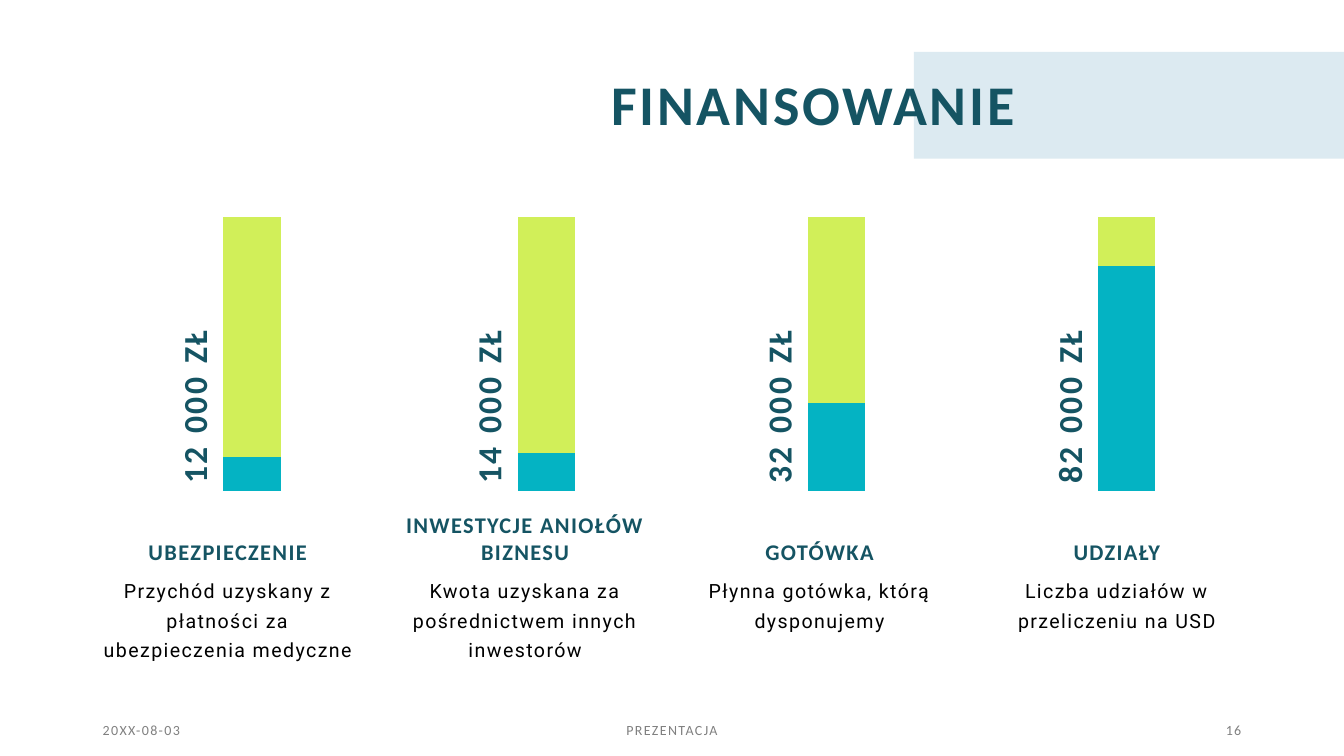
from pptx import Presentation
from pptx.chart.data import CategoryChartData
from pptx.dml.color import RGBColor
from pptx.enum import chart as ch, shapes, text
from pptx.oxml import parse_xml
from pptx.oxml.ns import nsdecls
from pptx.util import Pt

TEAL = RGBColor(0x15, 0x54, 0x63)
CYAN = RGBColor(0x04, 0xB3, 0xC3)
LIME = RGBColor(0xD1, 0xEF, 0x59)
PALE = RGBColor(0xDC, 0xEA, 0xF1)
GREY = RGBColor(0x80, 0x80, 0x80)
BLACK = RGBColor(0, 0, 0)
LEFT, CENTER, RIGHT = text.PP_ALIGN.LEFT, text.PP_ALIGN.CENTER, text.PP_ALIGN.RIGHT
TOP, MIDDLE, BOTTOM = (text.MSO_ANCHOR.TOP, text.MSO_ANCHOR.MIDDLE,
                       text.MSO_ANCHOR.BOTTOM)
MARGIN = 66.24

# caption left, chart offset, amount, heading, description, (raised, remaining)
COLUMNS = [
    (66.24, 60.5, "12 000 ZŁ", "UBEZPIECZENIE",
     "Przychód uzyskany z płatności za ubezpieczenia medyczne", (14, 100)),
    (278.64, 58.3, "14 000 ZŁ", "INWESTYCJE ANIOŁÓW BIZNESU",
     "Kwota uzyskana za pośrednictwem innych inwestorów", (16, 100)),
    (488.88, 55.4, "32 000 ZŁ", "GOTÓWKA",
     "Płynna gotówka, którą dysponujemy", (47, 100)),
    (701.28, 50.4, "82 000 ZŁ", "UDZIAŁY",
     "Liczba udziałów w przeliczeniu na USD", (100, 22)),
]


def write(tf, words, size, color, align, anchor, font="Calibri", bold=False,
          spacing=1, line=1.0, before=0):
    """Fill a text frame with one run; spacing is letter spacing in points."""
    tf.word_wrap = True
    tf.auto_size = text.MSO_AUTO_SIZE.NONE
    tf.vertical_anchor = anchor
    p = tf.paragraphs[0]
    p.alignment, p.line_spacing, p.space_before = align, line, Pt(before)
    r = p.add_run()
    r.text = words
    f = r.font
    f.name, f.size, f.bold = font, Pt(size), bold
    f.color.rgb = color
    f._element.set("spc", str(spacing * 100))


def add_text(s, box, *args, **style):
    sp = s.shapes.add_textbox(*map(Pt, box))
    write(sp.text_frame, *args, **style)
    return sp


def add_header(s, x, y, w, h):
    title = s.shapes.title
    title.left, title.top, title.width, title.height = map(
        Pt, (x, y + 14.7, 331.2, 52.56))
    write(title.text_frame, "FINANSOWANIE", 40, TEAL, RIGHT, MIDDLE,
          bold=True, spacing=2, line=0.8)
    band_left = x + 251.7
    band = s.shapes.add_shape(shapes.MSO_SHAPE.RECTANGLE, Pt(band_left), Pt(y),
                              Pt(x + w - band_left), Pt(h))
    band.shadow.inherit = False
    band.fill.solid()
    band.fill.fore_color.rgb = PALE
    band.line.fill.background()
    title.element.addprevious(band.element)


def add_bar(s, x, y, w, h, values):
    data = CategoryChartData()
    data.categories = ["1"]
    for i, value in enumerate(values, 1):
        data.add_series(f"Series {i}", [value])
    chart = s.shapes.add_chart(ch.XL_CHART_TYPE.COLUMN_STACKED,
                               Pt(x), Pt(y), Pt(w), Pt(h), data).chart
    chart.has_legend = chart.has_title = False
    chart.font.name, chart.font.size = "Roboto", Pt(10)
    chart.font.color.rgb = BLACK
    chart.category_axis.visible = False
    axis = chart.value_axis
    axis.visible = axis.has_major_gridlines = False
    axis.minimum_scale, axis.maximum_scale = 0, sum(values)
    plot = chart.plots[0]
    plot.gap_width, plot.overlap, plot.vary_by_categories = 150, 100, False
    for series, color in zip(plot.series, (CYAN, LIME)):
        series.format.fill.solid()
        series.format.fill.fore_color.rgb = color
    area = chart._chartSpace.chart.plotArea
    for old in area.findall("{*}layout"):
        area.remove(old)
    area.insert(0, parse_xml(
        f'<c:layout {nsdecls("c")}><c:manualLayout><c:layoutTarget val="inner"/>'
        '<c:xMode val="edge"/><c:yMode val="edge"/><c:x val="0.02"/>'
        '<c:y val="0.18"/><c:w val="0.96"/><c:h val="0.8"/>'
        '</c:manualLayout></c:layout>'))


def add_column(s, x, y, w, bar_dx, amount, heading, description, values):
    bar_x = x + bar_dx
    sp = add_text(s, (bar_x - 82.2, y + 130.3, 187.92, 35.28), amount, 24, TEAL,
                  LEFT, BOTTOM, bold=True, spacing=2, line=0.8, before=10)
    sp.rotation = 270
    add_bar(s, bar_x, y, 106.56, 244.8, values)
    add_text(s, (x, y + 245.5, w, 50.4), heading, 16, TEAL, CENTER, BOTTOM,
             bold=True)
    add_text(s, (x, y + 295.2, w, 79.2), description, 14, BLACK, CENTER, TOP,
             font="Roboto", line=1.25)


def add_footer(s, x, y, w, h):
    for left, width, words, align in (
            (x, 216, "20XX-08-03", LEFT),
            (x + (w - 324) / 2, 324, "PREZENTACJA", CENTER),
            (x + w - 216, 216, "16", RIGHT)):
        add_text(s, (left, y, width, h), words, 10, GREY, align, MIDDLE)


def main():
    prs = Presentation()
    prs.slide_width, prs.slide_height = Pt(960), Pt(540)
    s = prs.slides.add_slide(prs.slide_layouts[5])
    add_header(s, 401, 37.1, 559, 76.3)
    for x, *column in COLUMNS:
        add_column(s, x, 110.9, 192.96, *column)
    add_footer(s, MARGIN, 513.4, 960 - 2 * MARGIN, 15.84)
    prs.save("out.pptx")


if __name__ == "__main__":
    main()
